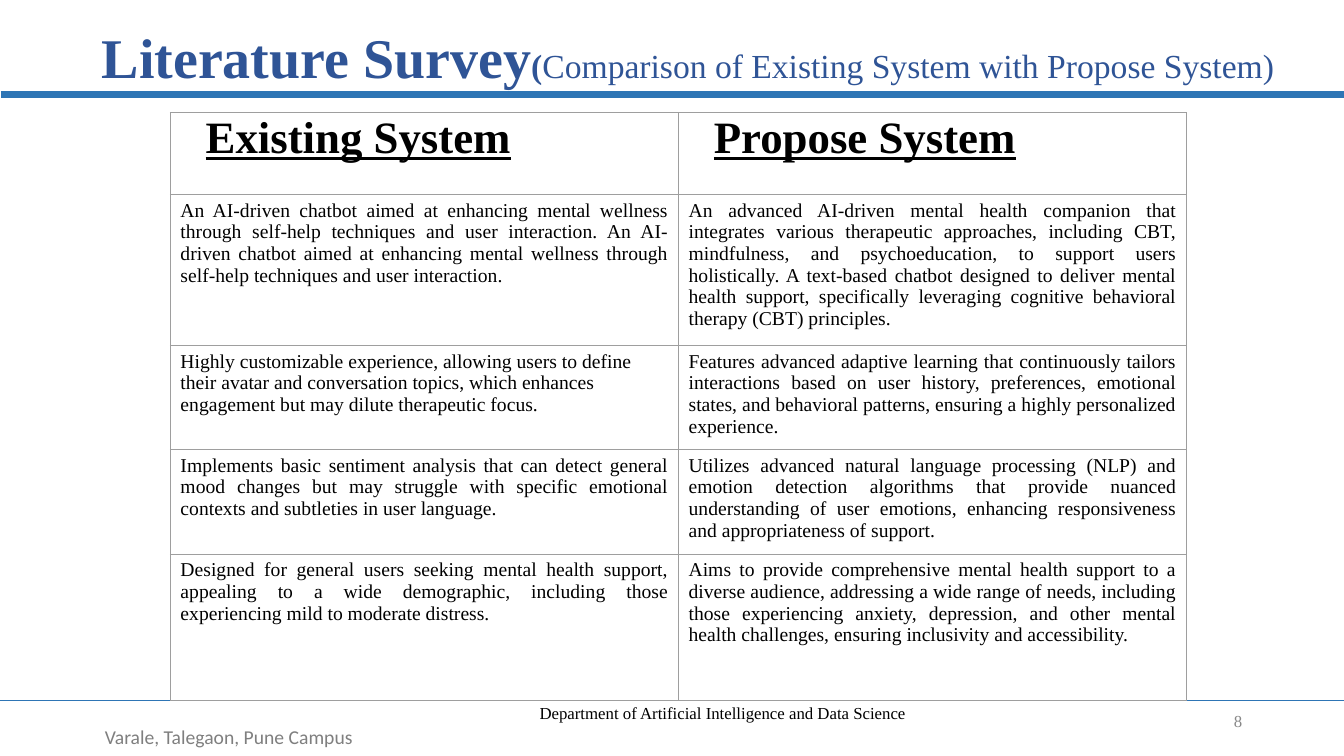
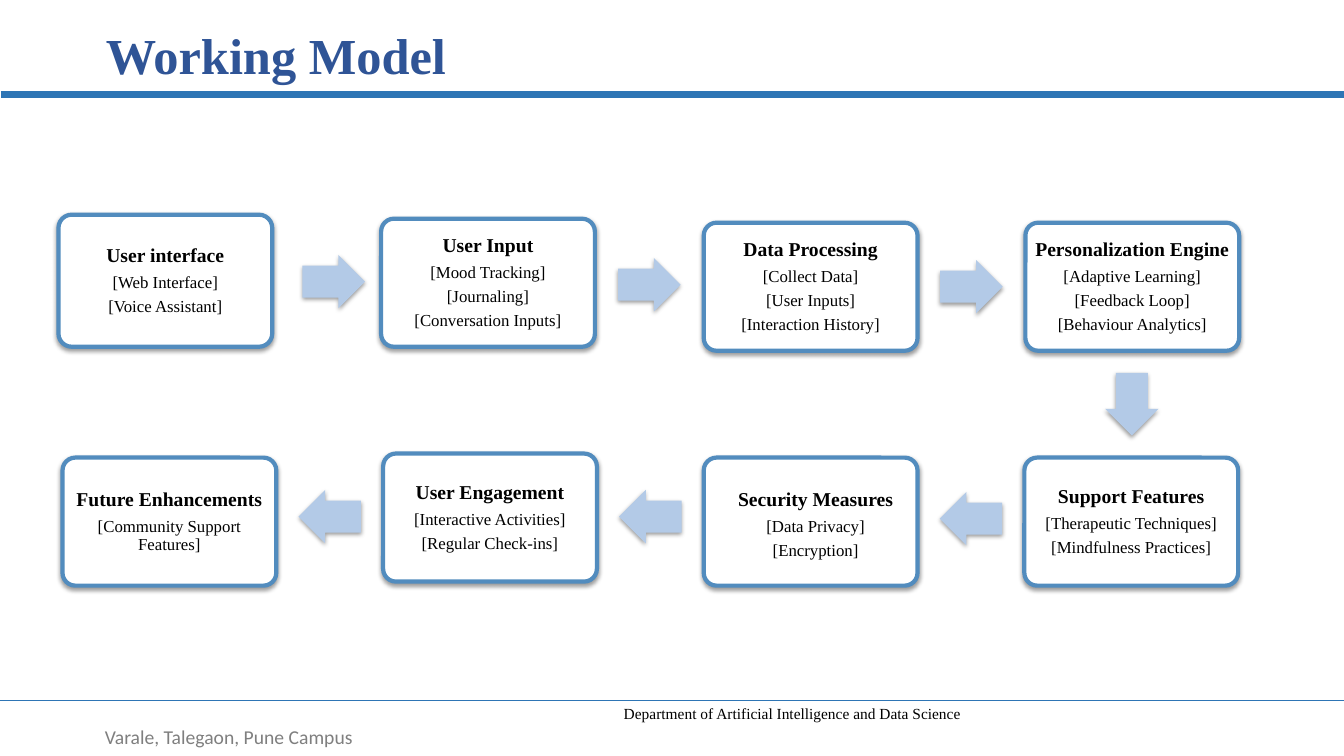
from dataclasses import dataclass

from lxml import etree
from pptx import Presentation
from pptx.dml.color import RGBColor
from pptx.enum.shapes import MSO_CONNECTOR, MSO_SHAPE
from pptx.enum.text import MSO_ANCHOR, MSO_AUTO_SIZE, PP_ALIGN
from pptx.oxml.ns import qn
from pptx.util import Inches, Pt

LEFT, CENTER, RIGHT, JUSTIFY = PP_ALIGN.LEFT, PP_ALIGN.CENTER, PP_ALIGN.RIGHT, PP_ALIGN.JUSTIFY
TOP, MIDDLE = MSO_ANCHOR.TOP, MSO_ANCHOR.MIDDLE
STRAIGHT = MSO_CONNECTOR.STRAIGHT
CARD, ARROW = MSO_SHAPE.ROUNDED_RECTANGLE, MSO_SHAPE.RIGHT_ARROW
TITLE_ONLY = 5


@dataclass(frozen=True)
class Theme:
    serif: str = "Times New Roman"
    sans: str = "Calibri"
    rule: str = "2E75B5"
    title: str = "2F5496"
    ink: str = "000000"
    paper: str = "FFFFFF"
    campus: str = "7F7F7F"
    number: str = "888888"
    grid: str = "9E9E9E"
    card_line: str = "528CBE"
    arrow: str = "B3CAE7"
    title_large: int = 40
    title_size: int = 36
    subtitle_size: int = 24
    heading_size: int = 32
    body_size: int = 14
    small_size: int = 12
    footer_size: int = 11


THEME = Theme()

SYSTEMS = [
    ("Existing System", "Propose System"),
    ("An AI-driven chatbot aimed at enhancing mental wellness through self-help techniques and "
     "user interaction. An AI-driven chatbot aimed at enhancing mental wellness through "
     "self-help techniques and user interaction.",
     "An advanced AI-driven mental health companion that integrates various therapeutic "
     "approaches, including CBT, mindfulness, and psychoeducation, to support users "
     "holistically. A text-based chatbot designed to deliver mental health support, "
     "specifically leveraging cognitive behavioral therapy (CBT) principles."),
    ("Highly customizable experience, allowing users to define their avatar and conversation "
     "topics, which enhances engagement but may dilute therapeutic focus.",
     "Features advanced adaptive learning that continuously tailors interactions based on user "
     "history, preferences, emotional states, and behavioral patterns, ensuring a highly "
     "personalized experience."),
    ("Implements basic sentiment analysis that can detect general mood changes but may struggle "
     "with specific emotional contexts and subtleties in user language.",
     "Utilizes advanced natural language processing (NLP) and emotion detection algorithms that "
     "provide nuanced understanding of user emotions, enhancing responsiveness and "
     "appropriateness of support."),
    ("Designed for general users seeking mental health support, appealing to a wide "
     "demographic, including those experiencing mild to moderate distress.",
     "Aims to provide comprehensive mental health support to a diverse audience, addressing a "
     "wide range of needs, including those experiencing anxiety, depression, and other mental "
     "health challenges, ensuring inclusivity and accessibility."),
]
ROW_HEIGHTS = (0.81, 1.5, 1.03, 1.04, 1.45)
LEFT_ALIGNED_CELL = (2, 0)

# Steps in flow order: column, row, shift from the grid, height, heading, items
STEPS = [
    (0, 0, (0, -0.08), 1.31, "User interface", ["[Web Interface]", "[Voice Assistant]"]),
    (1, 0, (0, -0.04), 1.27, "User Input",
     ["[Mood Tracking]", "[Journaling]", "[Conversation Inputs]"]),
    (2, 0, (0, 0), 1.27, "Data Processing",
     ["[Collect Data]", "[User Inputs]", "[Interaction History]"]),
    (3, 0, (-0.01, 0), 1.27, "Personalization Engine",
     ["[Adaptive Learning]", "[Feedback Loop]", "[Behaviour Analytics]"]),
    (3, 1, (-0.02, 0), 1.27, "Support Features",
     ["[Therapeutic Techniques]", "[Mindfulness Practices]"]),
    (2, 1, (0, 0), 1.27, "Security Measures", ["[Data Privacy]", "[Encryption]"]),
    (1, 1, (0.02, -0.04), 1.27, "User Engagement",
     ["[Interactive Activities]", "[Regular Check-ins]"]),
    (0, 1, (0.04, 0), 1.27, "Future Enhancements", ["[Community Support Features]"]),
]
CARD_WIDTH, CARD_PITCH, ROW_PITCH = 2.12, 3.2, 2.33
ARROW_WIDTH, ARROW_HEIGHT = 0.62, 0.53
# Extra text offset inside a card, and arrow offset after a step
TEXT_SHIFTS = {"Security Measures": (0.1, 0.07)}
ARROW_SHIFTS = {"User interface": (0.07, 0), "Support Features": (0, -0.03),
                "Security Measures": (0, -0.03), "User Engagement": (0, -0.03)}


def add_span(para, text, size, color=THEME.ink, font=THEME.serif, bold=False, underline=False):
    span = para.add_run()
    span.text = text
    span.font.name, span.font.size = font, Pt(size)
    span.font.bold, span.font.underline = bold, underline
    span.font.color.rgb = RGBColor.from_string(color)


def set_frame(frame, anchor=TOP, insets=(0.1, 0.05, 0.1, 0.05)):
    frame.word_wrap = True
    frame.auto_size = MSO_AUTO_SIZE.NONE
    frame.vertical_anchor = anchor
    (frame.margin_left, frame.margin_top,
     frame.margin_right, frame.margin_bottom) = map(Inches, insets)


def add_text(page, box, text, align=CENTER, anchor=TOP, **style):
    shape = page.shapes.add_textbox(*map(Inches, box))
    set_frame(shape.text_frame, anchor)
    para = shape.text_frame.paragraphs[0]
    para.alignment = align
    add_span(para, text, **style)
    return shape


def add_rule(page, left, top, right, width):
    line = page.shapes.add_connector(STRAIGHT, *map(Inches, (left, top, right, top)))
    line.line.color.rgb = RGBColor.from_string(THEME.rule)
    line.line.width = Pt(width)
    etree.SubElement(line.element.spPr, qn("a:effectLst"))
    return line


def add_shared_parts(deck, page):
    """Draw the bands and campus line once, then move them to the master."""
    parts = [
        add_rule(page, 0, 6.95, 13.33, 1.25),
        add_rule(page, 0.01, 0.94, 13.33, 4.75),
        add_text(page, (0.73, 7.14, 3.08, 0.34), "Varale, Talegaon, Pune Campus",
                 size=THEME.body_size, color=THEME.campus, font=THEME.sans),
    ]
    for part in parts:
        deck.slide_master.shapes.element.append(part.element)


def add_title(page, box, spans):
    title = page.shapes.title
    title.left, title.top, title.width, title.height = map(Inches, box)
    set_frame(title.text_frame, MIDDLE)
    para = title.text_frame.paragraphs[0]
    para.alignment = LEFT
    for text, size, bold in spans:
        add_span(para, text, size, THEME.title, bold=bold)


def add_department(page, box, size):
    add_text(page, box, "Department of Artificial Intelligence and Data Science", size=size)


def add_soft_shadow(shape):
    shape.shadow.inherit = False
    effects = shape.element.spPr.find(qn("a:effectLst"))
    shadow = etree.SubElement(effects, qn("a:outerShdw"), blurRad="40000", dist="20000",
                              dir="5400000", rotWithShape="0")
    color = etree.SubElement(shadow, qn("a:srgbClr"), val=THEME.ink)
    etree.SubElement(color, qn("a:alpha"), val="38000")


def set_borders(cell):
    properties = cell._tc.get_or_add_tcPr()
    for side in ("lnL", "lnR", "lnT", "lnB"):
        line = etree.SubElement(properties, qn(f"a:{side}"), w=str(Pt(0.75)))
        fill = etree.SubElement(line, qn("a:solidFill"))
        etree.SubElement(fill, qn("a:srgbClr"), val=THEME.grid)


def add_comparison(page, left, top, width):
    columns = len(SYSTEMS[0])
    table = page.shapes.add_table(len(SYSTEMS), columns, Inches(left), Inches(top),
                                  Inches(width), Inches(sum(ROW_HEIGHTS))).table
    table.first_row = table.horz_banding = False
    for column in table.columns:
        column.width = Inches(width / columns)
    for row, (height, texts) in enumerate(zip(ROW_HEIGHTS, SYSTEMS)):
        table.rows[row].height = Inches(height)
        for column, text in enumerate(texts):
            cell = table.cell(row, column)
            set_borders(cell)
            cell.fill.background()
            para = cell.text_frame.paragraphs[0]
            if row == 0:
                indents = para._p.get_or_add_pPr()
                indents.set("marL", str(Inches(0.5)))
                indents.set("indent", str(Inches(-0.25)))
                para.line_spacing = 0.9
                add_span(para, text, THEME.heading_size, bold=True, underline=True)
            else:
                para.alignment = LEFT if (row, column) == LEFT_ALIGNED_CELL else JUSTIFY
                add_span(para, text, THEME.body_size)


def add_card(page, box, heading, items):
    card = page.shapes.add_shape(CARD, *map(Inches, box))
    card.adjustments[0] = 0.1
    card.fill.solid()
    card.fill.fore_color.rgb = RGBColor.from_string(THEME.paper)
    card.line.color.rgb = RGBColor.from_string(THEME.card_line)
    card.line.width = Pt(3)
    add_soft_shadow(card)
    right, down = TEXT_SHIFTS.get(heading, (0, 0))
    frame = card.text_frame
    set_frame(frame, MIDDLE, (0.04 + right, 0.06 + down, 0.04, 0.06))
    for index, text in enumerate([heading, *items]):
        para = frame.add_paragraph() if index else frame.paragraphs[0]
        para.alignment, para.line_spacing = CENTER, 0.9
        if index:
            para.space_before = Pt(4.9 if index == 1 else 4.2)
        add_span(para, text, THEME.small_size if index else THEME.body_size, bold=not index)


def add_arrow(page, center_x, center_y, rotation):
    arrow = page.shapes.add_shape(
        ARROW, Inches(center_x - ARROW_WIDTH / 2), Inches(center_y - ARROW_HEIGHT / 2),
        Inches(ARROW_WIDTH), Inches(ARROW_HEIGHT))
    arrow.adjustments[0], arrow.adjustments[1] = 0.6, 0.5
    arrow.rotation = rotation
    arrow.fill.solid()
    arrow.fill.fore_color.rgb = RGBColor.from_string(THEME.arrow)
    arrow.line.fill.background()
    add_soft_shadow(arrow)


def add_flow(page, left, top):
    """Place the cards on a grid, with an arrow midway between neighbours."""
    centers = []
    for column, row, (right, down), height, heading, items in STEPS:
        x = left + column * CARD_PITCH + right
        y = top + row * ROW_PITCH + down
        add_card(page, (x, y, CARD_WIDTH, height), heading, items)
        centers.append((x + CARD_WIDTH / 2, y + height / 2))
    for index, ((x1, y1), (x2, y2)) in enumerate(zip(centers, centers[1:])):
        column, row, heading = STEPS[index][0], STEPS[index][1], STEPS[index][4]
        next_column, next_row = STEPS[index + 1][:2]
        rotation = 90 if next_row > row else 0 if next_column > column else 180
        right, down = ARROW_SHIFTS.get(heading, (0, 0))
        add_arrow(page, (x1 + x2) / 2 + right, (y1 + y2) / 2 + down, rotation)


def build_survey(page):
    add_title(page, (0.91, 0.36, 11.95, 0.4), [
        ("Literature Survey", THEME.title_large, True),
        ("(", THEME.subtitle_size, True),
        ("Comparison of Existing System with Propose System)", THEME.subtitle_size, False)])
    add_comparison(page, 1.69, 1.12, 10.08)
    add_department(page, (4.92, 6.92, 4.5, 0.3), THEME.small_size)
    add_text(page, (9.42, 6.95, 3, 0.4), "8", RIGHT, MIDDLE,
             size=THEME.small_size, color=THEME.number)


def build_model(page):
    add_title(page, (0.95, 0.18, 3.63, 0.71), [("Working Model", THEME.title_size, True)])
    add_flow(page, 0.58, 2.21)
    add_department(page, (6.08, 6.94, 3.56, 0.29), THEME.footer_size)


def main():
    deck = Presentation()
    deck.slide_width, deck.slide_height = Inches(13.33), Inches(7.5)
    layout = deck.slide_layouts[TITLE_ONLY]
    pages = [deck.slides.add_slide(layout) for _ in range(2)]
    add_shared_parts(deck, pages[0])
    for build, page in zip((build_survey, build_model), pages):
        build(page)
    deck.save("out.pptx")


if __name__ == "__main__":
    main()
